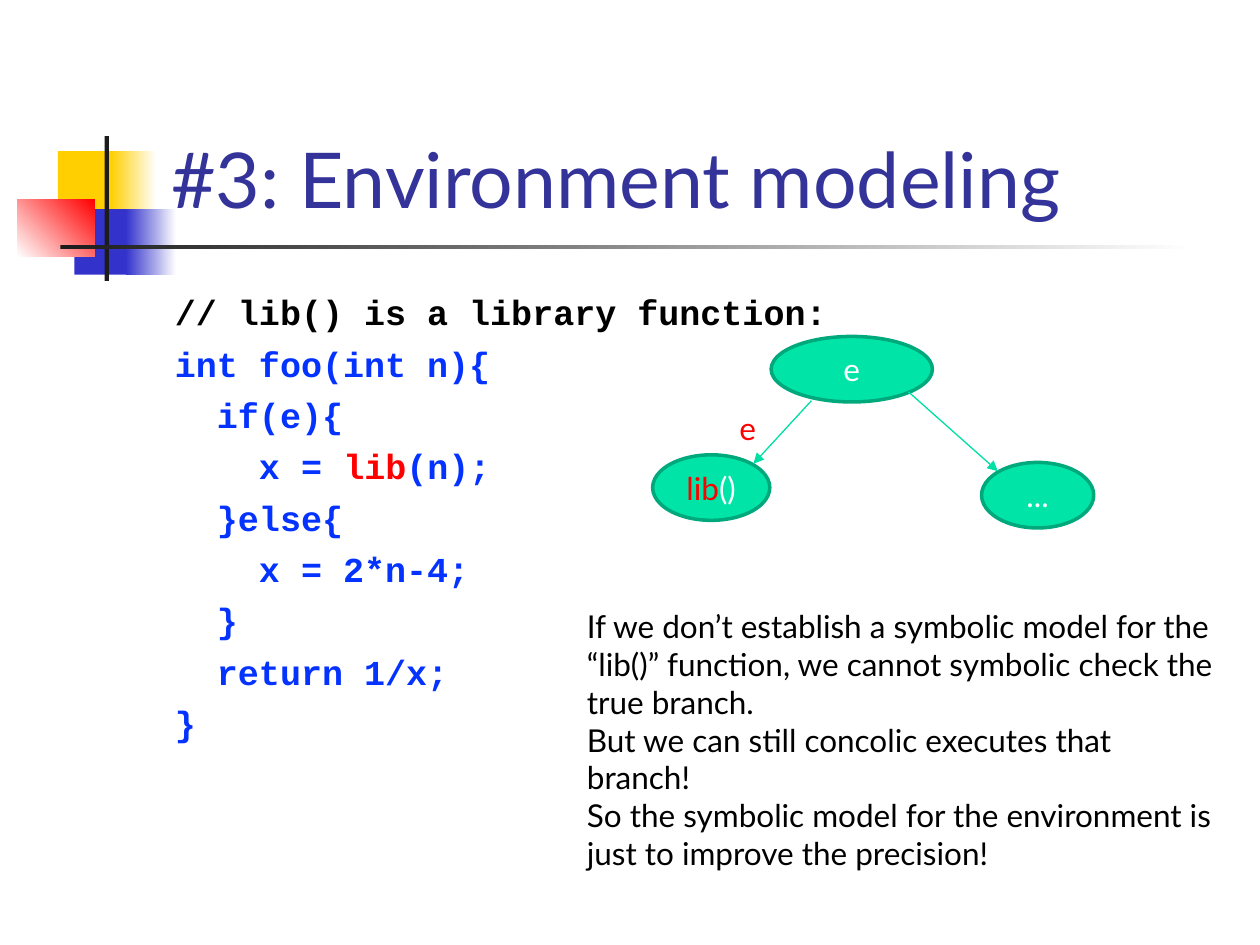
import pptx
import pptx.util
import pptx.dml.color
import pptx.enum.shapes
import pptx.enum.text
import pptx.oxml
import pptx.oxml.ns

COLORS = {
    "yellow": "FFCF01", "blue": "3333CC", "red": "FF0000", "white": "FFFFFF",
    "ink": "1C1C1C", "title": "333399", "black": "000000", "code": "0432FF",
    "node": "00E4A8", "node edge": "00A97C", "arrow": "00DFA4",
}
# The grid has 100 columns and 75 rows over the slide
SLIDE_WIDTH, SLIDE_HEIGHT = pptx.util.Inches(10), pptx.util.Inches(7.5)
COLUMN, ROW = SLIDE_WIDTH / 100, SLIDE_HEIGHT / 75

TITLE_FORMAT = {"name": "Lato", "size": pptx.util.Pt(44), "bold": False}
CODE_FORMAT = {"name": "Courier New", "size": pptx.util.Pt(20), "bold": True}
LABEL_FORMAT = {"name": "Lato", "size": pptx.util.Pt(18), "bold": False}

CODE_LINES = [
    [("// lib() is a library function:", "black")],
    [("int foo(int n){", "code")],
    [("  if(e){", "code")],
    [("    x = ", "code"), ("lib", "red"), ("(n);", "code")],
    [("  }else{", "code")],
    [("    x = 2*n-4;", "code")],
    [("  }", "code")],
    [("  return 1/x;", "code")],
    [("}", "code")],
]
REMARKS = [
    "If we don’t establish a symbolic model for the “lib()” function, "
    "we cannot symbolic check the true branch.",
    "But we can still concolic executes that branch!",
    "So the symbolic model for the environment is just to improve the precision!",
]


def color(name):
    return pptx.dml.color.RGBColor.from_string(COLORS[name])


def place(box, left, top, width, height):
    """Turn grid offsets inside a box into slide lengths."""
    return (round((box[0] + left) * COLUMN), round((box[1] + top) * ROW),
            round(width * COLUMN), round(height * ROW))


def write(shape, lines, text_format, anchor="TOP", align="LEFT", gap=0):
    frame = shape.text_frame
    frame.word_wrap = True
    frame.vertical_anchor = getattr(pptx.enum.text.MSO_ANCHOR, anchor)
    for index, line in enumerate(lines):
        paragraph = frame.add_paragraph() if index else frame.paragraphs[0]
        paragraph.alignment = getattr(pptx.enum.text.PP_ALIGN, align)
        paragraph.space_before = pptx.util.Pt(gap if index else 0)
        for text, color_name in line:
            run = paragraph.add_run()
            run.text = text
            for attribute, value in text_format.items():
                setattr(run.font, attribute, value)
            run.font.color.rgb = color(color_name)


def add_text(slide, box, lines, text_format, **options):
    shape = slide.shapes.add_textbox(*place(box, 0, 0, *box[2:]))
    write(shape, lines, text_format, **options)


def add_block(slide, bounds, colors, angle=0):
    """Add a borderless rectangle, plain or with a two-colour gradient."""
    shape = slide.shapes.add_shape(pptx.enum.shapes.MSO_SHAPE.RECTANGLE, *bounds)
    shape.shadow.inherit = False
    shape.line.fill.background()
    if len(colors) == 1:
        shape.fill.solid()
        shape.fill.fore_color.rgb = color(colors[0])
        return
    shape.fill.gradient()
    shape.fill.gradient_angle = angle
    for stop, name in zip(shape.fill.gradient_stops, colors):
        stop.color.rgb = color(name)


def add_ornament(slide, box):
    blocks = [
        ((3.2, 1.2, 4.8, 5.2), ["yellow"], 0),
        ((7.4, 1.2, 3.6, 5.2), ["yellow", "white"], 0),
        ((4.5, 5.8, 4.6, 5.2), ["blue"], 0),
        ((8.6, 5.8, 4, 5.2), ["blue", "white"], 0),
        ((0, 5, 6.1, 4.6), ["white", "red"], 45),
        ((6.9, 0, 0.35, 11.5), ["ink"], 0),
        ((3.4, 8.65, 90, 0.35), ["ink", "white"], 0),
    ]
    for bounds, colors, angle in blocks:
        add_block(slide, place(box, *bounds), colors, angle)


def add_node(slide, bounds, runs):
    shape = slide.shapes.add_shape(pptx.enum.shapes.MSO_SHAPE.OVAL, *bounds)
    shape.shadow.inherit = False
    shape.fill.solid()
    shape.fill.fore_color.rgb = color("node")
    shape.line.color.rgb = color("node edge")
    shape.line.width = pptx.util.Pt(2)
    write(shape, [runs], LABEL_FORMAT, anchor="MIDDLE", align="CENTER")


def add_arrow(slide, start, end):
    connector = slide.shapes.add_connector(
        pptx.enum.shapes.MSO_CONNECTOR.STRAIGHT, *start, *end)
    connector.line.color.rgb = color("arrow")
    connector.line.width = pptx.util.Pt(0.75)
    head = pptx.oxml.parse_xml(
        f'<a:tailEnd {pptx.oxml.ns.nsdecls("a")} type="triangle"/>')
    connector.line._get_or_add_ln().append(head)
    connector._element.spPr.append(
        pptx.oxml.parse_xml(f'<a:effectLst {pptx.oxml.ns.nsdecls("a")}/>'))


def add_branch_tree(slide, box):
    nodes = [
        ((9.4, 0, 12.8, 5.2), [("e", "white")]),
        ((0, 9.4, 9.3, 5.2), [("lib", "red"), ("()", "white")]),
        ((26.1, 10, 8.9, 5.2), [("...", "white")]),
    ]
    for bounds, runs in nodes:
        add_node(slide, place(box, *bounds), runs)
    # Branches from the condition to its two outcomes
    for start, end in [((12.6, 5.1), (8, 10.1)), ((20.3, 4.4), (27.4, 10.7))]:
        add_arrow(slide, place(box, *start, 0, 0)[:2], place(box, *end, 0, 0)[:2])
    # Condition on the true branch
    add_text(slide, (box[0] + 5.9, box[1] + 5.3, 8.9, 4),
             [[("e", "red")]], LABEL_FORMAT)


def main():
    presentation = pptx.Presentation()
    presentation.slide_width, presentation.slide_height = SLIDE_WIDTH, SLIDE_HEIGHT
    slide = presentation.slides.add_slide(presentation.slide_layouts[6])
    add_ornament(slide, (1.4, 10.8, 93.4, 11.5))
    add_text(slide, (12.6, 2.3, 85.2, 16),
             [[("#3: Environment modeling", "title")]], TITLE_FORMAT, anchor="BOTTOM")
    add_text(slide, (12.9, 22.6, 85, 44.5), CODE_LINES, CODE_FORMAT, gap=5.3)
    add_branch_tree(slide, (51.8, 26.7, 35, 15.2))
    add_text(slide, (45.6, 47.7, 52.3, 22.2),
             [[(remark, "black")] for remark in REMARKS], LABEL_FORMAT)
    presentation.save("out.pptx")


if __name__ == "__main__":
    main()
